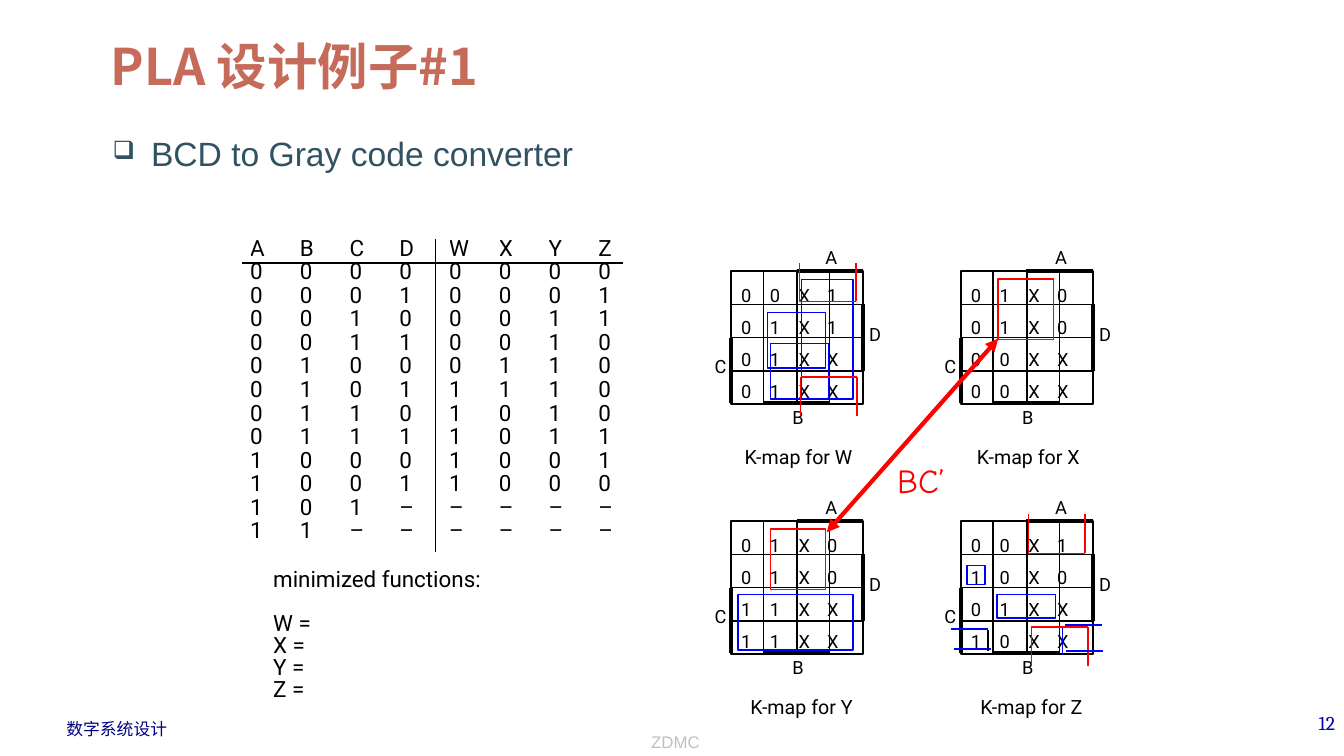
from lxml import etree
from pptx import Presentation
from pptx import util as u
from pptx.dml.color import RGBColor
from pptx.enum import shapes, text
from pptx.oxml.ns import qn

EMU_PER_PX = 9144
BLACK = RGBColor(0, 0, 0)
RED = RGBColor(0xFF, 0, 0)
BLUE = RGBColor(0, 0, 0xFF)
NAVY = RGBColor(0, 0, 0x82)
PAGE_BLUE = RGBColor(0, 0, 0xB6)
SILVER = RGBColor(0xC0, 0xC0, 0xC0)
CORAL = RGBColor(0xC6, 0x6B, 0x5A)
SLATE = RGBColor(0x31, 0x52, 0x63)

LEFT, CENTER, RIGHT = text.PP_ALIGN.LEFT, text.PP_ALIGN.CENTER, text.PP_ALIGN.RIGHT
WIDE_INSET, TIGHT_INSET = (10, 5), (2, 3)

TRUTH_ROWS = """ABCDWXYZ 00000000 00010001 00100011 00110010 01000110 01011110
01101010 01111011 10001001 10011000 101––––– 11––––––""".split()

# name, left, top, caption shift, rows
K_MAPS = [
    ("W", 725, 269, 0, "00X1 01X1 01XX 01XX"),
    ("X", 953, 269, 0, "01X0 01X0 00XX 00XX"),
    ("Y", 725, 517, 3, "01X0 01X0 11XX 11XX"),
    ("Z", 953, 517, 3, "00X1 10X0 01XX 10XX"),
]

GROUP_BOXES = [
    (BLUE, 732, 590, 114, 55), (RED, 764, 525, 55, 60), (RED, 990, 277, 55, 60),
    (BLUE, 761, 310, 58, 55), (BLUE, 795, 277, 51, 119), (BLUE, 764, 341, 58, 55),
    (BLUE, 989, 590, 58, 23), (BLUE, 959, 561, 18, 19),
]

# left, right, closed edge, open edge
WRAPPED_GROUPS = [
    (793, 849, 299, 261), (1020, 1076, 549, 510),
    (1023, 1079, 622, 661), (794, 850, 374, 413),
]

CORNER_STROKES = [
    (BLUE, 943, 624, 980, 624), (BLUE, 946, 644, 983, 644), (BLACK, 980, 625, 980, 646),
    (BLUE, 1056, 620, 1093, 620), (BLUE, 1057, 646, 1094, 646), (BLUE, 1054, 623, 1054, 650),
]


def px(*lengths):
    return [u.Emu(round(length * EMU_PER_PX)) for length in lengths]


def apply(target, values):
    for name, value in values.items():
        setattr(target, name, value)


class SlideBuilder:
    font = "Roboto"

    def __init__(self, slide):
        self.slide = slide

    def fill_paragraph(self, paragraph, content, size, font=None, color=BLACK, bold=False, **layout):
        font = font or self.font
        apply(paragraph, layout)
        run = paragraph.add_run()
        run.text = content
        apply(run.font, {"size": u.Pt(size), "name": font, "bold": bold})
        run.font.color.rgb = color
        etree.SubElement(run._r.get_or_add_rPr(), qn("a:ea"), typeface=font)

    def text(self, box, lines, size, inset=TIGHT_INSET, anchor=text.MSO_ANCHOR.TOP,
             wrap=True, **style):
        """Add a text box with one paragraph per line and return its paragraphs."""
        frame = self.slide.shapes.add_textbox(*px(*box)).text_frame
        side, edge = px(*inset)
        apply(frame, {"word_wrap": wrap, "vertical_anchor": anchor, "margin_left": side,
                      "margin_right": side, "margin_top": edge, "margin_bottom": edge})
        for index, line in enumerate(lines):
            paragraph = frame.add_paragraph() if index else frame.paragraphs[0]
            self.fill_paragraph(paragraph, line, size, **style)
        return frame.paragraphs

    def box(self, left, top, width, height, color=BLACK):
        shape = self.slide.shapes.add_shape(
            shapes.MSO_SHAPE.RECTANGLE, *px(left, top, width, height))
        shape.shadow.inherit = False
        shape.fill.background()
        shape.line.color.rgb = color
        shape.line.width = u.Pt(1)

    def line(self, x1, y1, x2, y2, color=BLACK, width=1, arrows=False):
        connector = self.slide.shapes.add_connector(
            shapes.MSO_CONNECTOR.STRAIGHT, *px(x1, y1, x2, y2))
        connector.line.color.rgb = color
        connector.line.width = u.Pt(width)
        if arrows:
            for end in ("a:headEnd", "a:tailEnd"):
                etree.SubElement(connector.line._get_or_add_ln(), qn(end), type="triangle")
        etree.SubElement(connector._element.spPr, qn("a:effectLst"))

    def table(self, box, rows, size, spacing):
        table = self.slide.shapes.add_table(len(rows), len(rows[0]), *px(*box)).table
        apply(table, {"first_row": False, "horz_banding": False})
        for row_index, row in enumerate(rows):
            for column_index, value in enumerate(row):
                cell = table.cell(row_index, column_index)
                cell.fill.background()
                apply(cell, dict.fromkeys(
                    ("margin_left", "margin_right", "margin_top", "margin_bottom"), 0))
                self.fill_paragraph(cell.text_frame.paragraphs[0], value, size,
                                    line_spacing=u.Pt(spacing))

    def k_map(self, name, left, top, caption_shift, rows):
        """Draw a 4 by 4 Karnaugh map with thick bars marking variables A to D."""
        lines = ["\t".join(row) for row in rows.split()]
        for paragraph in self.text((left + 8, top, 123, 132), lines, 13,
                                   line_spacing=u.Pt(22.8)):
            stops = etree.SubElement(paragraph._p.get_or_add_pPr(), qn("a:tabLst"))
            for column in (1, 2, 3):
                position = px(column * 28.5)[0]
                etree.SubElement(stops, qn("a:tab"), pos=str(position), algn="l")
        for half in (0, 66):
            for column in (0, 65):
                self.box(left + column, top + half, 66, 66)
            for column in (32, 98):
                self.line(left + column, top + half, left + column, top + half + 66)
            self.line(left + 131, top + half + 33, left, top + half + 33)
        for x1, y1, x2, y2 in ((65, 0, 131, 0), (131, 33, 131, 99),
                               (32, 131, 98, 131), (0, 66, 0, 131)):
            self.line(left + x1, top + y1, left + x2, top + y2, width=3)
        for variable, x, y, width in (("A", 68, -28, 63), ("B", 35, 131, 63),
                                      ("C", -23, 80, 25), ("D", 132, 49, 22)):
            self.text((left + x, top + y, width, 27), [variable], 13,
                      alignment=CENTER, line_spacing=u.Pt(15.8))
        self.text((left - 2 + caption_shift, top + 174, 138, 33), [f"K-map for {name}"], 14,
                  alignment=CENTER, line_spacing=u.Pt(13.8))


def add_bullet(paragraph):
    properties = paragraph._p.get_or_add_pPr()
    indent = px(38)[0]
    properties.set("marL", str(indent))
    properties.set("indent", str(-indent))
    color = etree.SubElement(properties, qn("a:buClr"))
    etree.SubElement(color, qn("a:srgbClr"), val=str(SLATE))
    etree.SubElement(properties, qn("a:buSzPct"), val="75000")
    etree.SubElement(properties, qn("a:buChar"), char="❑")


def main():
    presentation = Presentation()
    presentation.slide_width, presentation.slide_height = px(1333, 750)
    builder = SlideBuilder(presentation.slides.add_slide(presentation.slide_layouts[6]))

    builder.text((100, 25, 1133, 75), ["PLA 设计例子#1"], 36, WIDE_INSET,
                 text.MSO_ANCHOR.BOTTOM, font="Noto Sans CJK SC", color=CORAL, bold=True)
    body = builder.text((102, 127, 1133, 536), ["BCD to Gray code converter"], 24, WIDE_INSET,
                        font="Arial", color=SLATE, space_before=u.Pt(4.8))
    add_bullet(body[0])

    builder.table((248, 236, 395, 303), TRUTH_ROWS, 16, 16.8)
    builder.line(432, 237, 432, 548)
    builder.line(240, 261, 618, 261)
    functions = builder.text((269, 562, 336, 145),
                             ["minimized functions:", "W =", "X =", "Y =", "Z ="],
                             16, line_spacing=u.Pt(15.8))
    functions[1].space_before = u.Pt(15.8)

    for k_map in K_MAPS:
        builder.k_map(*k_map)
    for color, *box in GROUP_BOXES:
        builder.box(*box, color)
    for left, right, closed, opened in WRAPPED_GROUPS:
        builder.line(left, closed, right, closed, RED)
        for side in (left, right):
            builder.line(side, opened, side, closed, RED)
    for color, *ends in CORNER_STROKES:
        builder.line(*ends, color)
    builder.line(820, 528, 990, 336, RED, 3, arrows=True)
    builder.text((880, 451, 68, 50), ["BC’"], 24, WIDE_INSET, wrap=False,
                 font="Comic Neue", color=RED)

    builder.text((56, 708, 121, 30), ["数字系统设计"], 12, WIDE_INSET, wrap=False,
                 font="Arial", color=NAVY)
    builder.text((345, 700, 650, 51), ["ZDMC"], 12, WIDE_INSET, text.MSO_ANCHOR.BOTTOM,
                 font="Arial", color=SILVER, alignment=CENTER)
    builder.text((1056, 700, 278, 50), ["12"], 14, WIDE_INSET,
                 font="Cambria", color=PAGE_BLUE, alignment=RIGHT)
    presentation.save("out.pptx")


if __name__ == "__main__":
    main()
